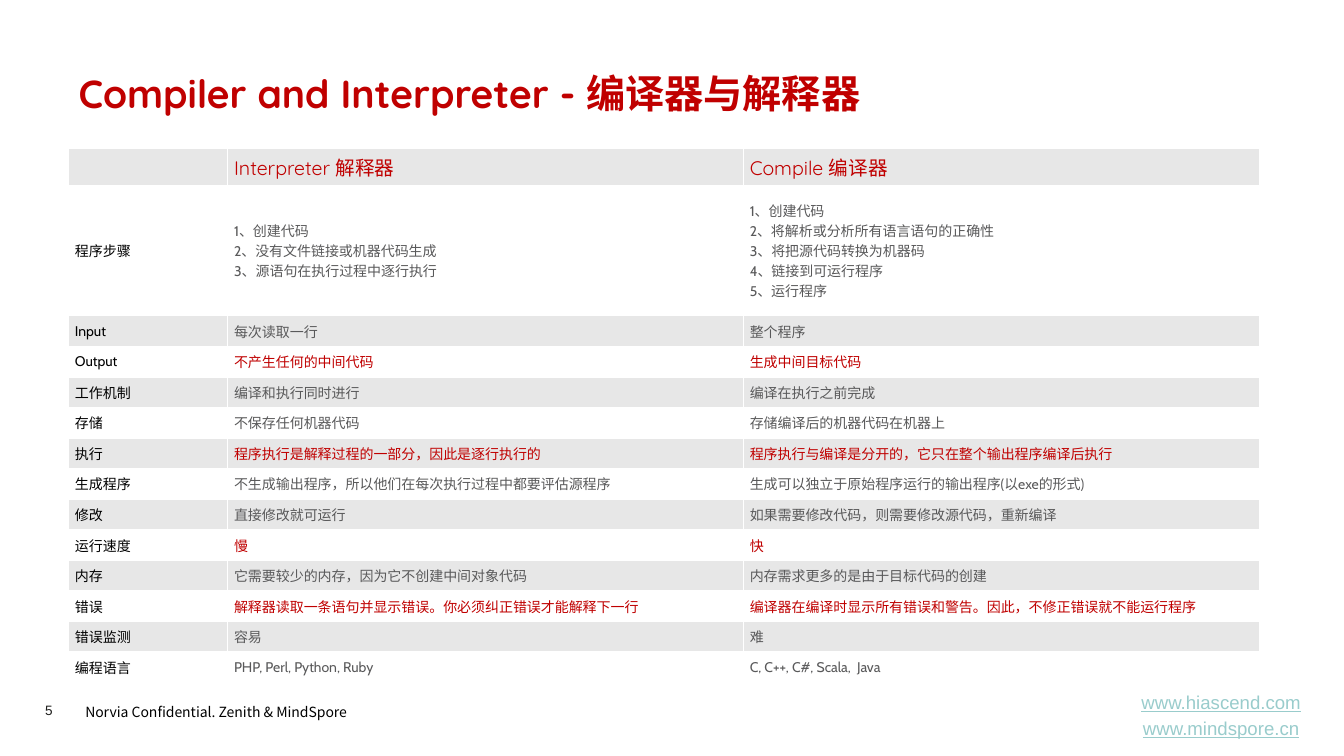
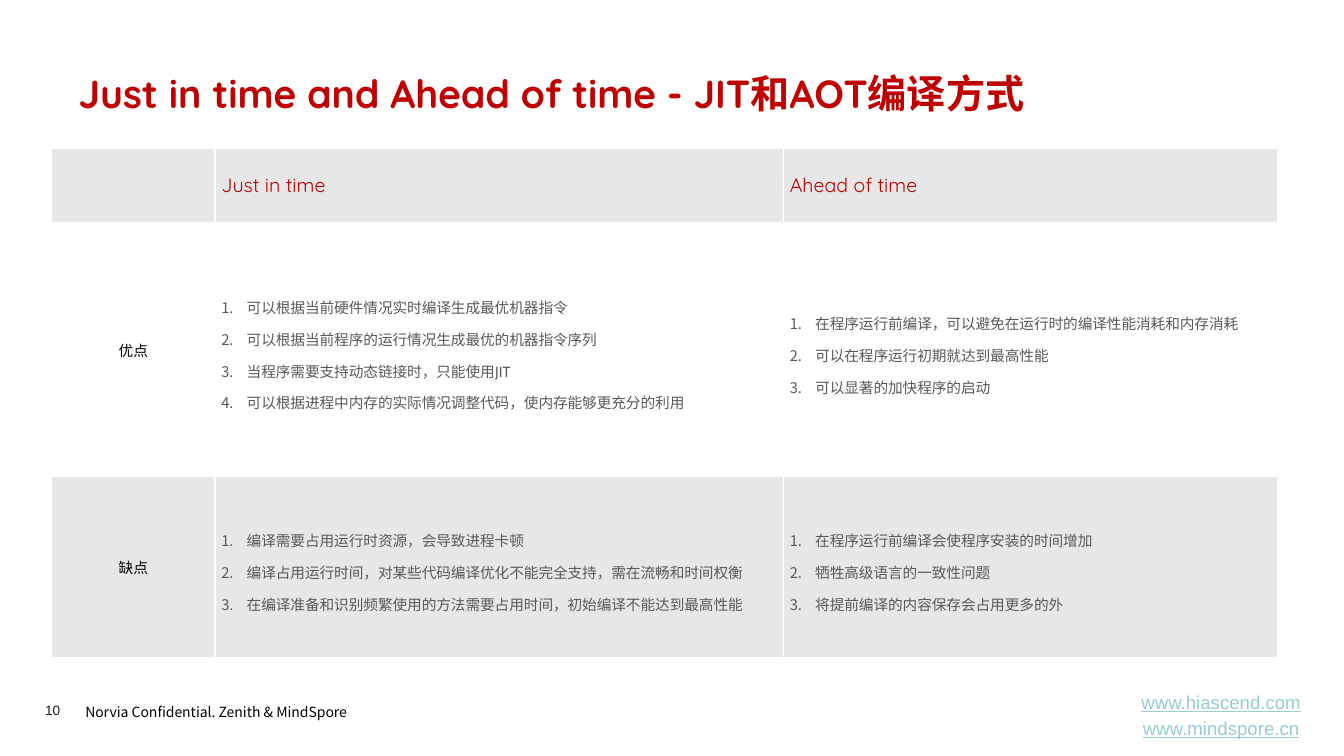
import lxml.etree
import pptx
import pptx.dml.color
import pptx.enum.text
import pptx.oxml.ns
import pptx.util

Cm = pptx.util.Cm
Pt = pptx.util.Pt
qn = pptx.oxml.ns.qn
ALIGN = pptx.enum.text.PP_ALIGN
MID = pptx.enum.text.MSO_ANCHOR.MIDDLE

HUES = {
    "red": "C00000",
    "black": "000000",
    "gray": "59595A",
    "band": "E7E7E7",
    "white": "FFFFFF",
    "page": "1D1D1B",
    "link": "99CCCC",
}
HAN = "Noto Sans CJK SC"
HEAD = "Quicksand"
BODY = "Cabin"


def tint(name):
    return pptx.dml.color.RGBColor.from_string(HUES[name])


def number(para):
    """Number a paragraph with a hanging indent."""
    props = para._p.get_or_add_pPr()
    props.set("marL", str(Cm(0.64)))
    props.set("indent", str(-Cm(0.64)))
    lxml.etree.SubElement(props, qn("a:buFont"), typeface=HAN)
    lxml.etree.SubElement(props, qn("a:buAutoNum"), type="arabicPeriod")


def write(frame, text, font=BODY, size=10, hue="black", bold=False, line=False,
          align=ALIGN.LEFT, lead=None, gap=0, list_it=False):
    """Fill a text frame with one paragraph per line of text."""
    frame.word_wrap = True
    lines = [text] if isinstance(text, str) else text
    for i, words in enumerate(lines):
        para = frame.add_paragraph() if i else frame.paragraphs[0]
        para.alignment = align
        if lead:
            para.line_spacing = lead
        if i and gap:
            para.space_before = Pt(gap)
        if list_it:
            number(para)
        if not words:
            lxml.etree.SubElement(para._p, qn("a:endParaRPr"), sz=str(int(size * 100)))
            continue
        run = para.add_run()
        run.text = words
        run.font.name = font
        run.font.size = Pt(size)
        run.font.bold = bold
        run.font.underline = line
        run.font.color.rgb = tint(hue)
        lxml.etree.SubElement(run._r.get_or_add_rPr(), qn("a:ea"), typeface=HAN)


def label(slide, box, text, anchor=None, inset=True, **style):
    """Place a text box; box is left, top, width, height in cm."""
    frame = slide.shapes.add_textbox(*map(Cm, box)).text_frame
    if anchor is not None:
        frame.vertical_anchor = anchor
    if not inset:
        frame.margin_left = frame.margin_right = 0
        frame.margin_top = frame.margin_bottom = 0
    write(frame, text, **style)


def edge(cell):
    """Draw a thin white border on all four sides."""
    props = cell._tc.get_or_add_tcPr()
    for side in ("lnL", "lnR", "lnT", "lnB"):
        rule = lxml.etree.SubElement(props, qn("a:" + side), w=str(Pt(1)))
        fill = lxml.etree.SubElement(rule, qn("a:solidFill"))
        lxml.etree.SubElement(fill, qn("a:srgbClr"), val=HUES["white"])


def grid(slide, spot, cols, highs, rows, size, hot=(), align=ALIGN.LEFT, **style):
    """Banded table: a heading row, then a label and two texts in each row."""
    area = (*spot, sum(cols), sum(highs))
    table = slide.shapes.add_table(len(rows), len(cols), *map(Cm, area)).table
    table.first_row = table.horz_banding = False
    for col, wide in zip(table.columns, cols):
        col.width = Cm(wide)
    for r, texts in enumerate(rows):
        table.rows[r].height = Cm(highs[r])
        for c, text in enumerate(texts):
            cell = table.cell(r, c)
            edge(cell)
            cell.fill.solid()
            cell.fill.fore_color.rgb = tint("white" if r % 2 else "band")
            cell.vertical_anchor = MID
            cell.margin_left = cell.margin_right = Cm(0.16)
            cell.margin_top = cell.margin_bottom = Cm(0.1)
            frame = cell.text_frame
            if r == 0:
                write(frame, text, font=HEAD, size=14, hue="red")
            elif c == 0:
                write(frame, text, size=size, align=align)
            else:
                hue = "red" if texts[0] in hot else "gray"
                write(frame, text, size=size, hue=hue, **style)


def base(deck, title, page):
    """Add a slide with its title and footer."""
    slide = deck.slides.add_slide(deck.slide_layouts[6])
    label(slide, (1.9, 17.53, 7.95, 0.74), "Norvia Confidential. Zenith & MindSpore",
          font=HAN, lead=1.2)
    label(slide, (1.14, 17.68, 1.4, 0.41), page, inset=False,
          font="Arial", size=9.7, hue="page")
    label(slide, (28.04, 17.48, 5.49, 1.09), ["www.hiascend.com", "www.mindspore.cn"],
          anchor=MID, font="Arial", size=13.3, hue="link", line=True,
          align=ALIGN.CENTER, gap=2.7)
    label(slide, (1.73, 1.52, 30.45, 1.63), title, anchor=MID,
          font=HEAD, size=28, hue="red", bold=True)
    return slide


# Interpreter against compiler
PAIRS = [
    ("", "Interpreter 解释器", "Compile 编译器"),
    ("程序步骤",
     ["1、创建代码", "2、没有文件链接或机器代码生成", "3、源语句在执行过程中逐行执行"],
     ["1、创建代码", "2、将解析或分析所有语言语句的正确性", "3、将把源代码转换为机器码",
      "4、链接到可运行程序", "5、运行程序"]),
    ("Input", "每次读取一行", "整个程序"),
    ("Output", "不产生任何的中间代码", "生成中间目标代码"),
    ("工作机制", "编译和执行同时进行", "编译在执行之前完成"),
    ("存储", "不保存任何机器代码", "存储编译后的机器代码在机器上"),
    ("执行", "程序执行是解释过程的一部分，因此是逐行执行的",
     "程序执行与编译是分开的，它只在整个输出程序编译后执行"),
    ("生成程序", "不生成输出程序，所以他们在每次执行过程中都要评估源程序",
     "生成可以独立于原始程序运行的输出程序(以exe的形式)"),
    ("修改", "直接修改就可运行", "如果需要修改代码，则需要修改源代码，重新编译"),
    ("运行速度", "慢", "快"),
    ("内存", "它需要较少的内存，因为它不创建中间对象代码", "内存需求更多的是由于目标代码的创建"),
    ("错误", "解释器读取一条语句并显示错误。你必须纠正错误才能解释下一行",
     "编译器在编译时显示所有错误和警告。因此，不修正错误就不能运行程序"),
    ("错误监测", "容易", "难"),
    ("编程语言", "PHP, Perl, Python, Ruby", "C, C++, C#, Scala,  Java"),
]
HOT = ("Output", "执行", "运行速度", "错误")

# Just in time against ahead of time
MODES = [
    ("", "Just in time", "Ahead of time"),
    ("优点",
     ["可以根据当前硬件情况实时编译生成最优机器指令",
      "可以根据当前程序的运行情况生成最优的机器指令序列",
      "当程序需要支持动态链接时，只能使用JIT",
      "可以根据进程中内存的实际情况调整代码，使内存能够更充分的利用"],
     ["在程序运行前编译，可以避免在运行时的编译性能消耗和内存消耗",
      "可以在程序运行初期就达到最高性能",
      "可以显著的加快程序的启动"]),
    ("缺点",
     ["编译需要占用运行时资源，会导致进程卡顿",
      "编译占用运行时间，对某些代码编译优化不能完全支持，需在流畅和时间权衡",
      "在编译准备和识别频繁使用的方法需要占用时间，初始编译不能达到最高性能"],
     ["在程序运行前编译会使程序安装的时间增加",
      "牺牲高级语言的一致性问题",
      "将提前编译的内容保存会占用更多的外"]),
]


def main():
    deck = pptx.Presentation()
    deck.slide_width, deck.slide_height = Cm(33.88), Cm(19.05)

    slide = base(deck, "Compiler and Interpreter - 编译器与解释器", "5")
    highs = [0.94, 3.29] + [0.77] * (len(PAIRS) - 2)
    grid(slide, (1.73, 3.73), (4.01, 13, 13), highs, PAIRS, 10, hot=HOT)

    slide = base(deck, "Just in time and Ahead of time - JIT和AOT编译方式", "10")
    grid(slide, (1.3, 3.73), (4.12, 14.33, 12.45), (1.88, 6.4, 4.55), MODES, 10.5,
         align=ALIGN.CENTER, lead=1.5, list_it=True)

    deck.save("out.pptx")


if __name__ == "__main__":
    main()
